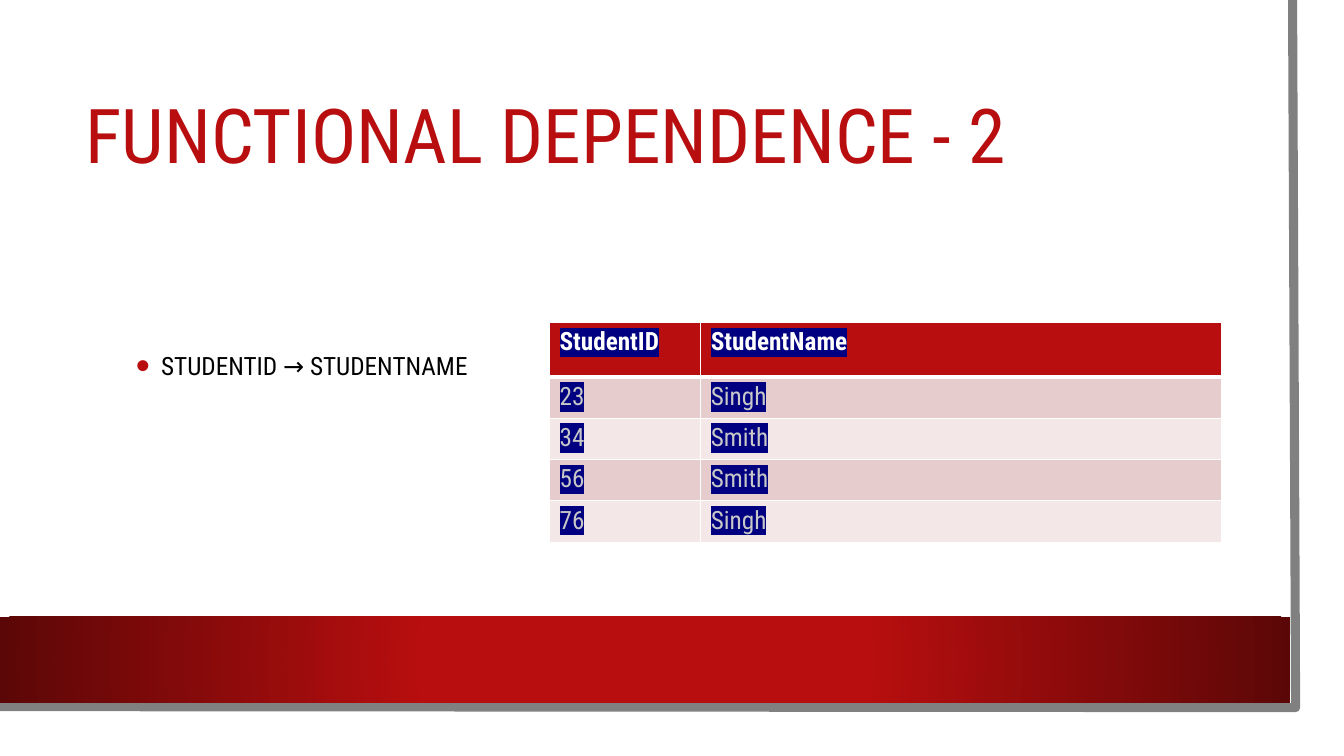
from pptx import Presentation
from pptx import util as u
from pptx.dml.color import RGBColor
from pptx.enum import shapes, text
from pptx.oxml import parse_xml
from pptx.oxml.ns import nsdecls, qn

# Content
TITLE = "FUNCTIONAL DEPENDENCE - 2"
DEPENDENCE = "STUDENTID → STUDENTNAME"
STUDENTS = [
    ("StudentID", "StudentName"),
    ("23", "Singh"),
    ("34", "Smith"),
    ("56", "Smith"),
    ("76", "Singh"),
]
COLUMN_WIDTHS = (1.5, 5.17)
HEADER_HEIGHT, ROW_HEIGHT = 0.54, 0.41
FRAME_POINTS = [(12.82, 0), (12.85, 7.02), (-0.03, 7.01)]

THEME = {
    "font": "Roboto Condensed",
    "title_size": 54, "body_size": 18,
    "red": "B80E0F", "dark_red": "5C0707", "gray": "808080",
    "white": "FFFFFF", "black": "000000",
    "cell_text": "C8C8C8", "highlight": "000080",
    "bands": ("E6CCCC", "F3E7E7"),
}


def rgb(name):
    return RGBColor.from_string(THEME.get(name, name))


def element(xml):
    """Parse one drawing element, adding its namespace."""
    tag, rest = xml[1:].split(" ", 1)
    return parse_xml(f"<{tag} {nsdecls('a')} {rest}")


def write(frame, words, size="body_size", color="black", bold=False,
          anchor=text.MSO_ANCHOR.TOP, spacing=None, highlight=None, bullet=False):
    frame.word_wrap = True
    frame.vertical_anchor = anchor
    paragraph = frame.paragraphs[0]
    if spacing:
        paragraph.line_spacing = spacing
    if bullet:
        properties = paragraph._p.get_or_add_pPr()
        properties.set("marL", str(u.Inches(0.75)))
        properties.set("indent", str(u.Inches(-0.25)))
        for xml in (f'<a:buClr ><a:srgbClr val="{THEME["red"]}"/></a:buClr>',
                    '<a:buSzPct val="160000"/>',
                    '<a:buFont typeface="Arial"/>',
                    '<a:buChar char="•"/>'):
            properties.append(element(xml))
    run = paragraph.add_run()
    run.text = words
    run.font.size = u.Pt(THEME[size])
    run.font.bold = bold
    run.font.color.rgb = rgb(color)
    run.font.name = THEME["font"]
    if highlight:
        fill = run._r.rPr.find(qn("a:solidFill"))
        fill.addnext(element(
            f'<a:highlight ><a:srgbClr val="{THEME[highlight]}"/></a:highlight>'))


def add_panel(slide, left, top, width, height):
    panel = slide.shapes.add_shape(
        shapes.MSO_SHAPE.RECTANGLE, *map(u.Inches, (left, top, width, height)))
    panel.shadow.inherit = False
    panel.line.fill.background()
    panel.fill.solid()
    panel.fill.fore_color.rgb = rgb("white")
    return panel


def add_background(slide):
    # White sheet with its gray edge
    add_panel(slide, 0, 0, 13.1, 7.27)
    points = [(u.Inches(x), u.Inches(y)) for x, y in FRAME_POINTS]
    builder = slide.shapes.build_freeform(*points[0])
    builder.add_line_segments(points[1:], close=False)
    edge = builder.convert_to_shape()
    edge.shadow.inherit = False
    edge.fill.background()
    edge.line.color.rgb = rgb("gray")
    edge.line.width = u.Pt(6.5)

    # Red band, darker towards its ends
    band = add_panel(slide, 0, 6.12, 12.8, 0.85)
    solid = band._element.spPr.find(qn("a:solidFill"))
    solid.getparent().replace(solid, element(
        '<a:gradFill rotWithShape="1"><a:gsLst>'
        f'<a:gs pos="34000"><a:srgbClr val="{THEME["red"]}"/></a:gs>'
        f'<a:gs pos="100000"><a:srgbClr val="{THEME["dark_red"]}"/></a:gs>'
        '</a:gsLst><a:path path="circle">'
        '<a:fillToRect l="50000" t="50000" r="50000" b="50000"/>'
        '</a:path></a:gradFill>'))


def add_text(slide, left, top, width, height, words, **style):
    box = slide.shapes.add_textbox(*map(u.Inches, (left, top, width, height)))
    write(box.text_frame, words, anchor=text.MSO_ANCHOR.MIDDLE, **style)


def set_borders(cell, **widths):
    properties = cell._tc.get_or_add_tcPr()
    for side in "LRTB":
        properties.append(element(
            f'<a:ln{side} w="{u.Pt(widths.get(side, 1))}"><a:solidFill>'
            f'<a:srgbClr val="{THEME["white"]}"/></a:solidFill></a:ln{side}>'))


def add_students(slide, left, top):
    heights = [HEADER_HEIGHT] + [ROW_HEIGHT] * (len(STUDENTS) - 1)
    size = (left, top, sum(COLUMN_WIDTHS), sum(heights))
    table = slide.shapes.add_table(
        len(STUDENTS), len(COLUMN_WIDTHS), *map(u.Inches, size)).table
    for column, width in zip(table.columns, COLUMN_WIDTHS):
        column.width = u.Inches(width)
    for r, (record, height) in enumerate(zip(STUDENTS, heights)):
        table.rows[r].height = u.Inches(height)
        header = r == 0
        for c, value in enumerate(record):
            cell = table.cell(r, c)
            set_borders(cell, B=3 if header else 1, T=3 if r == 1 else 1)
            cell.fill.solid()
            cell.fill.fore_color.rgb = rgb(
                "red" if header else THEME["bands"][(r - 1) % 2])
            write(cell.text_frame, value, bold=header, highlight="highlight",
                  color="white" if header else "cell_text")


def main():
    presentation = Presentation()
    presentation.slide_width = u.Inches(13.33)
    presentation.slide_height = u.Inches(7.5)
    slide = presentation.slides.add_slide(presentation.slide_layouts[6])

    add_background(slide)
    add_text(slide, 0.75, 0.75, 11.37, 1.26, TITLE,
             size="title_size", color="red", spacing=0.9)
    add_text(slide, 0.75, 3.35, 4.6, 0.5, DEPENDENCE, spacing=1.2, bullet=True)
    add_students(slide, 5.45, 3.2)
    presentation.save("out.pptx")


if __name__ == "__main__":
    main()
